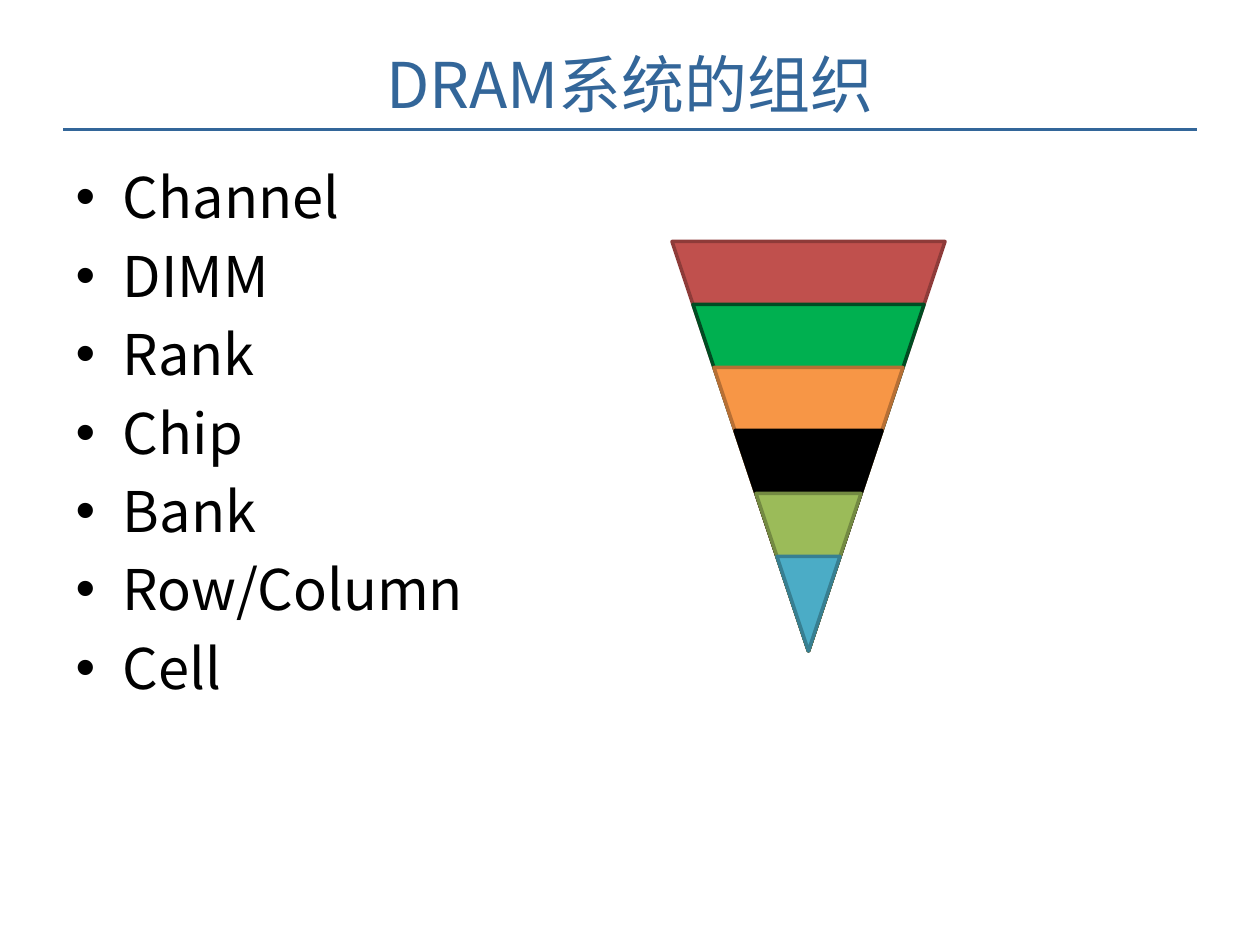
from dataclasses import dataclass

from lxml.etree import SubElement
from pptx import Presentation
from pptx.dml.color import RGBColor as Rgb
from pptx.enum.shapes import MSO_CONNECTOR as Link, MSO_SHAPE as Form
from pptx.enum.text import MSO_ANCHOR as Anchor, MSO_AUTO_SIZE as Fit, PP_ALIGN as Align
from pptx.oxml.ns import qn
from pptx.util import Pt


@dataclass(frozen=True)
class Theme:
    face: str = "Noto Sans CJK SC"
    head: str = "336699"
    text: str = "000000"
    big: float = 36
    size: float = 32
    line: float = 2
    # Fill and edge of each level, widest first
    bands: tuple = (
        ("C0504D", "8E3B39"),
        ("00B050", "004C22"),
        ("F79646", "B76F34"),
        ("000000", "000000"),
        ("9BBB59", "738A42"),
        ("4BACC6", "377F92"),
    )


class Page:
    def __init__(self, slide, theme):
        self.slide, self.theme = slide, theme

    def place(self, shape, left, top, width, height):
        shape.left, shape.top = Pt(left), Pt(top)
        shape.width, shape.height = Pt(width), Pt(height)

    def run(self, para, text, size, color):
        run = para.add_run()
        run.text = text
        font = run.font
        font.size, font.name = Pt(size), self.theme.face
        font.color.rgb = Rgb.from_string(color)
        SubElement(font._element, qn("a:ea"), typeface=self.theme.face)

    def title(self, text, *box):
        shape = self.slide.shapes.title
        self.place(shape, *box)
        frame = shape.text_frame
        frame.auto_size, frame.vertical_anchor = Fit.NONE, Anchor.MIDDLE
        frame.margin_bottom = Pt(7.6)
        para = frame.paragraphs[0]
        para.alignment = Align.CENTER
        self.run(para, text, self.theme.big, self.theme.head)

    def list(self, items, *box):
        """Fill the body placeholder, whose bullets come from the template."""
        shape = self.slide.placeholders[1]
        self.place(shape, *box)
        frame = shape.text_frame
        frame.auto_size, frame.margin_top = Fit.NONE, Pt(6)
        size = self.theme.size
        for i, item in enumerate(items):
            para = frame.add_paragraph() if i else frame.paragraphs[0]
            para.line_spacing = Pt(1.2 * size)
            para.space_before = Pt(0.2 * size if i else 0)
            self.run(para, item, size, self.theme.text)

    def rule(self, left, right, y):
        line = self.slide.shapes.add_connector(
            Link.STRAIGHT, Pt(left), Pt(y), Pt(right), Pt(y))
        line.line.color.rgb = Rgb.from_string(self.theme.head)
        line.line.width = Pt(self.theme.line)
        SubElement(line._element.spPr, qn("a:effectLst"))

    def wedge(self, fill, edge, *box):
        shape = self.slide.shapes.add_shape(
            Form.FLOWCHART_MERGE, *(Pt(n) for n in box))
        shape.shadow.inherit = False
        shape.fill.solid()
        shape.fill.fore_color.rgb = Rgb.from_string(fill)
        shape.line.color.rgb = Rgb.from_string(edge)
        shape.line.width = Pt(self.theme.line)

    def funnel(self, left, top, width, height, step):
        """Stack wedges that share one tip, each a step lower than the last."""
        for i, (fill, edge) in enumerate(self.theme.bands):
            drop = i * step
            inset = drop * width / height / 2
            self.wedge(fill, edge, left + inset, top + drop,
                       width - 2 * inset, height - drop)


def main():
    deck = Presentation()
    deck.slide_width, deck.slide_height = Pt(720), Pt(540)
    page = Page(deck.slides.add_slide(deck.slide_layouts[1]), Theme())
    page.rule(36, 684, 74)
    page.title("DRAM系统的组织", 36, 21.6, 648, 56)
    page.list(["Channel", "DIMM", "Rank", "Chip", "Bank", "Row/Column", "Cell"],
              36, 87, 648, 366)
    page.funnel(384, 138, 156, 234, 36)
    deck.save("out.pptx")


if __name__ == "__main__":
    main()
